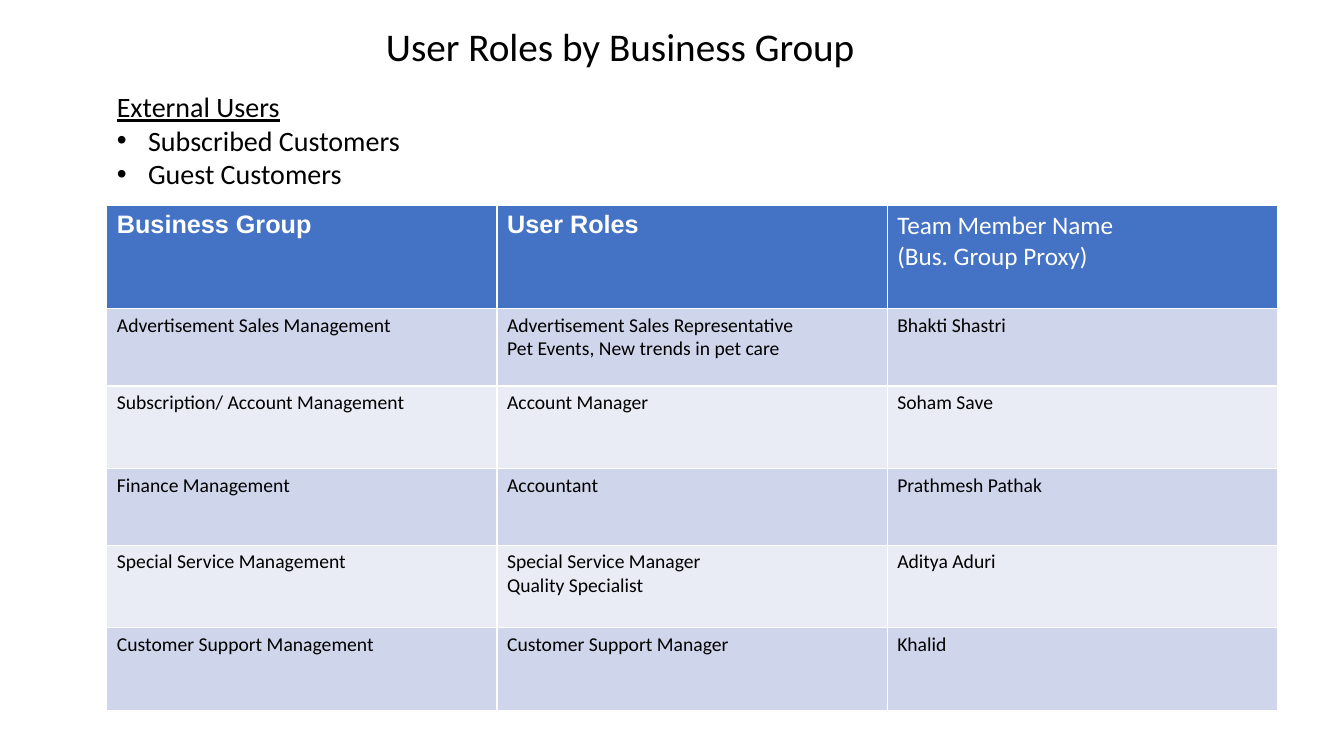
from lxml import etree
from pptx import Presentation
from pptx.dml.color import RGBColor
from pptx.oxml.ns import qn
from pptx.util import Inches, Pt

COLORS = {"header": "4472C4", "odd": "CFD5EA", "even": "E9EBF5",
          "white": "FFFFFF", "black": "000000"}
ROW_HEIGHTS = [1.02, 0.77, 0.82, 0.76, 0.82, 0.82]
HEADINGS = ["Business Group", "User Roles", "Team Member Name\n(Bus. Group Proxy)"]
ROLES = [
    ["Advertisement Sales Management",
     "Advertisement Sales Representative\nPet Events, New trends in pet care", "Bhakti Shastri"],
    ["Subscription/ Account Management", "Account Manager", "Soham Save"],
    ["Finance Management", "Accountant", "Prathmesh Pathak"],
    ["Special Service Management", "Special Service Manager\nQuality Specialist", "Aditya Aduri"],
    ["Customer Support Management", "Customer Support Manager", "Khalid"],
]


def write(p, text, size=14, font="Calibri", color="black", bold=False, underline=False):
    """Add one formatted run to a paragraph."""
    r = p.add_run()
    r.text = text
    f = r.font
    f.size, f.name, f.bold, f.underline = Pt(size), font, bold, underline
    f.color.rgb = RGBColor.from_string(COLORS[color])


def write_lines(tf, text, **fmt):
    """Write each line of text as a paragraph of the frame."""
    for i, line in enumerate(text.split("\n")):
        p = tf.add_paragraph() if i else tf.paragraphs[0]
        write(p, line, **fmt)


def add_frame(s, x, y, w, h):
    """Add a wrapping text box and return its frame."""
    tf = s.shapes.add_textbox(Inches(x), Inches(y), Inches(w), Inches(h)).text_frame
    tf.word_wrap = True
    return tf


def add_bullet(p, indent=0.31):
    """Give a paragraph a round bullet with a hanging indent."""
    pPr = p._p.get_or_add_pPr()
    pPr.set("marL", str(Inches(indent)))
    pPr.set("indent", str(Inches(-indent)))
    etree.SubElement(pPr, qn("a:buFont")).set("typeface", "Arial")
    etree.SubElement(pPr, qn("a:buChar")).set("char", "•")


def add_title(s, x, y, w, h):
    """Place the slide heading."""
    write_lines(add_frame(s, x, y, w, h), "User Roles by Business Group", size=28)


def add_external_users(s, x, y, w, h):
    """Place the underlined label and its bulleted user types."""
    tf = add_frame(s, x, y, w, h)
    write_lines(tf, "External Users", size=20, underline=True)
    for user in ["Subscribed Customers", "Guest Customers"]:
        p = tf.add_paragraph()
        add_bullet(p)
        write(p, user, size=20)


def add_roles_table(s, x, y, w, h):
    """Place the table of groups, roles and team members."""
    rows = [HEADINGS] + ROLES
    table = s.shapes.add_table(len(rows), len(HEADINGS), Inches(x), Inches(y),
                               Inches(w), Inches(h)).table
    for col in table.columns:
        col.width = Inches(w / len(HEADINGS))
    for i, (row, height) in enumerate(zip(rows, ROW_HEIGHTS)):
        table.rows[i].height = Inches(height)
        fill = "header" if i == 0 else "odd" if i % 2 else "even"
        for j, text in enumerate(row):
            cell = table.cell(i, j)
            cell.fill.solid()
            cell.fill.fore_color.rgb = RGBColor.from_string(COLORS[fill])
            fmt = {}
            if i == 0:
                fmt = {"size": 18, "color": "white"}
                if j < 2:
                    fmt.update(font="Arial", bold=True)
            write_lines(cell.text_frame, text, **fmt)


def main():
    """Build and save the slide."""
    prs = Presentation()
    prs.slide_width, prs.slide_height = Inches(13.33), Inches(7.5)
    s = prs.slides.add_slide(prs.slide_layouts[6])
    add_roles_table(s, 1.06, 2.04, 11.61, sum(ROW_HEIGHTS))
    add_title(s, 3.73, 0.17, 5.04, 0.57)
    add_external_users(s, 1.06, 0.84, 4.02, 1.11)
    prs.save("out.pptx")


if __name__ == "__main__":
    main()
